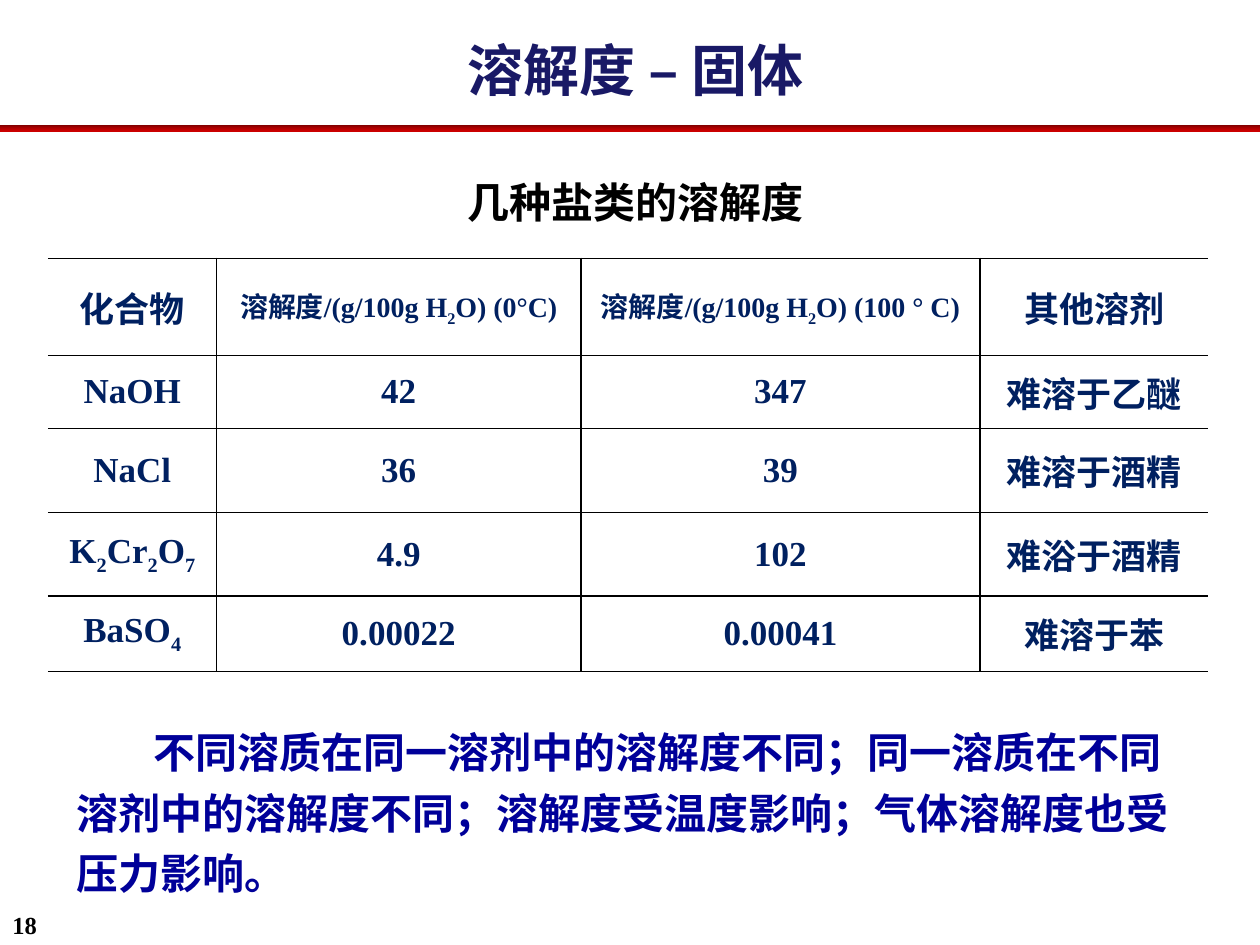
"""Build a slide on the solubility of solids with a table of salts."""
from copy import deepcopy

from lxml import etree
from pptx import Presentation
from pptx.dml.color import RGBColor
from pptx.enum.shapes import MSO_SHAPE
from pptx.enum.text import MSO_ANCHOR, PP_ALIGN
from pptx.oxml.ns import qn
from pptx.util import Inches, Pt

RECTANGLE = MSO_SHAPE.RECTANGLE
TOP, MIDDLE = MSO_ANCHOR.TOP, MSO_ANCHOR.MIDDLE
LEFT, CENTER = PP_ALIGN.LEFT, PP_ALIGN.CENTER


def color(hex_value):
    """Turn a hex string into a colour."""
    return RGBColor.from_string(hex_value)


def write(paragraph, text, alignment, name, size, ink):
    """Write bold text in which parts between tildes are subscripts."""
    paragraph.alignment = alignment
    style = {"name": name, "size": Pt(size), "bold": True}
    for index, part in enumerate(text.split("~")):
        if not part:
            continue
        run = paragraph.add_run()
        run.text = part
        for key, value in style.items():
            setattr(run.font, key, value)
        run.font.color.rgb = color(ink)
        if index % 2:
            run.font._element.set("baseline", "-25000")


prs = Presentation()
prs.slide_width, prs.slide_height = Inches(10), Inches(7.5)
slide = prs.slides.add_slide(prs.slide_layouts[6])

title_rule = slide.shapes.add_shape(RECTANGLE, 0, Inches(0.99), Inches(10), Inches(0.05))
title_rule.shadow.inherit = False
title_rule.line.fill.background()
title_rule.fill.gradient()
title_rule.fill.gradient_angle = 270
stop_list = title_rule.fill._fill._gradFill.find(qn("a:gsLst"))
stop_list.insert(1, deepcopy(stop_list[0]))
for stop, (position, shade) in zip(
        title_rule.fill.gradient_stops, [(0, "790000"), (0.5, "AC0000"), (1, "CC0000")]):
    stop.position = position
    stop.color.rgb = color(shade)

# text, box, wrap, anchor, alignment, font, size, colour, line spacing, first-line indent
texts = [
    ("溶解度 – 固体", (2.18, 0.13, 5.73, 0.83), True, MIDDLE, CENTER,
     "Arial", 32, "191966", 1, 0),
    ("几种盐类的溶解度", (3.59, 1.35, 2.91, 0.51), False, TOP, CENTER,
     "Noto Sans CJK SC", 24, "000000", 1, 0),
    ("不同溶质在同一溶剂中的溶解度不同；同一溶质在不同溶剂中的溶解度不同；"
     "溶解度受温度影响；气体溶解度也受压力影响。", (0.51, 5.64, 9, 1.56), True, TOP, LEFT,
     "Arial", 24, "000099", 1.2, 0.61),
    ("18", (0, 7.17, 0.5, 0.25), True, TOP, LEFT,
     "Times New Roman", 14, "000000", 1, 0),
]
for text, box, wrap, anchor, alignment, name, size, ink, spacing, indent in texts:
    frame = slide.shapes.add_textbox(*map(Inches, box)).text_frame
    frame.word_wrap = wrap
    frame.vertical_anchor = anchor
    paragraph = frame.paragraphs[0]
    write(paragraph, text, alignment, name, size, ink)
    paragraph.line_spacing = spacing
    if indent:
        paragraph._p.get_or_add_pPr().set("indent", str(Inches(indent)))

salts = [
    ("化合物", "溶解度/(g/100g H~2~O) (0°C)", "溶解度/(g/100g H~2~O) (100 ° C)", "其他溶剂"),
    ("NaOH", "42", "347", "难溶于乙醚"),
    ("NaCl", "36", "39", "难溶于酒精"),
    ("K~2~Cr~2~O~7~", "4.9", "102", "难浴于酒精"),
    ("BaSO~4~", "0.00022", "0.00041", "难溶于苯"),
]
column_widths = [1.34, 2.89, 3.17, 1.81]
row_heights = [0.77, 0.58, 0.67, 0.66, 0.6]
solubility = slide.shapes.add_table(
    len(salts), len(column_widths), Inches(0.38), Inches(2.05),
    Inches(sum(column_widths)), Inches(sum(row_heights))).table
solubility.first_row = solubility.horz_banding = False
for column, width in zip(solubility.columns, column_widths):
    column.width = Inches(width)
for row, height in zip(solubility.rows, row_heights):
    row.height = Inches(height)

last_column = len(column_widths) - 1
for row_index, salt in enumerate(salts):
    for column_index, entry in enumerate(salt):
        cell = solubility.cell(row_index, column_index)
        cell.vertical_anchor = MIDDLE
        cell.fill.background()
        size = 16 if row_index == 0 and 0 < column_index < last_column else 20
        write(cell.text_frame.paragraphs[0], entry, CENTER, "Times New Roman", size, "002060")
        drawn = {"lnL": column_index > 0, "lnR": column_index < last_column,
                 "lnT": True, "lnB": True}
        properties = cell._tc.get_or_add_tcPr()
        for order, (side, visible) in enumerate(drawn.items()):
            border = etree.Element(qn(f"a:{side}"), w=str(Pt(1)))
            properties.insert(order, border)
            if visible:
                ink_fill = etree.SubElement(border, qn("a:solidFill"))
                etree.SubElement(ink_fill, qn("a:srgbClr"), val="000000")
            else:
                etree.SubElement(border, qn("a:noFill"))

prs.save("out.pptx")
